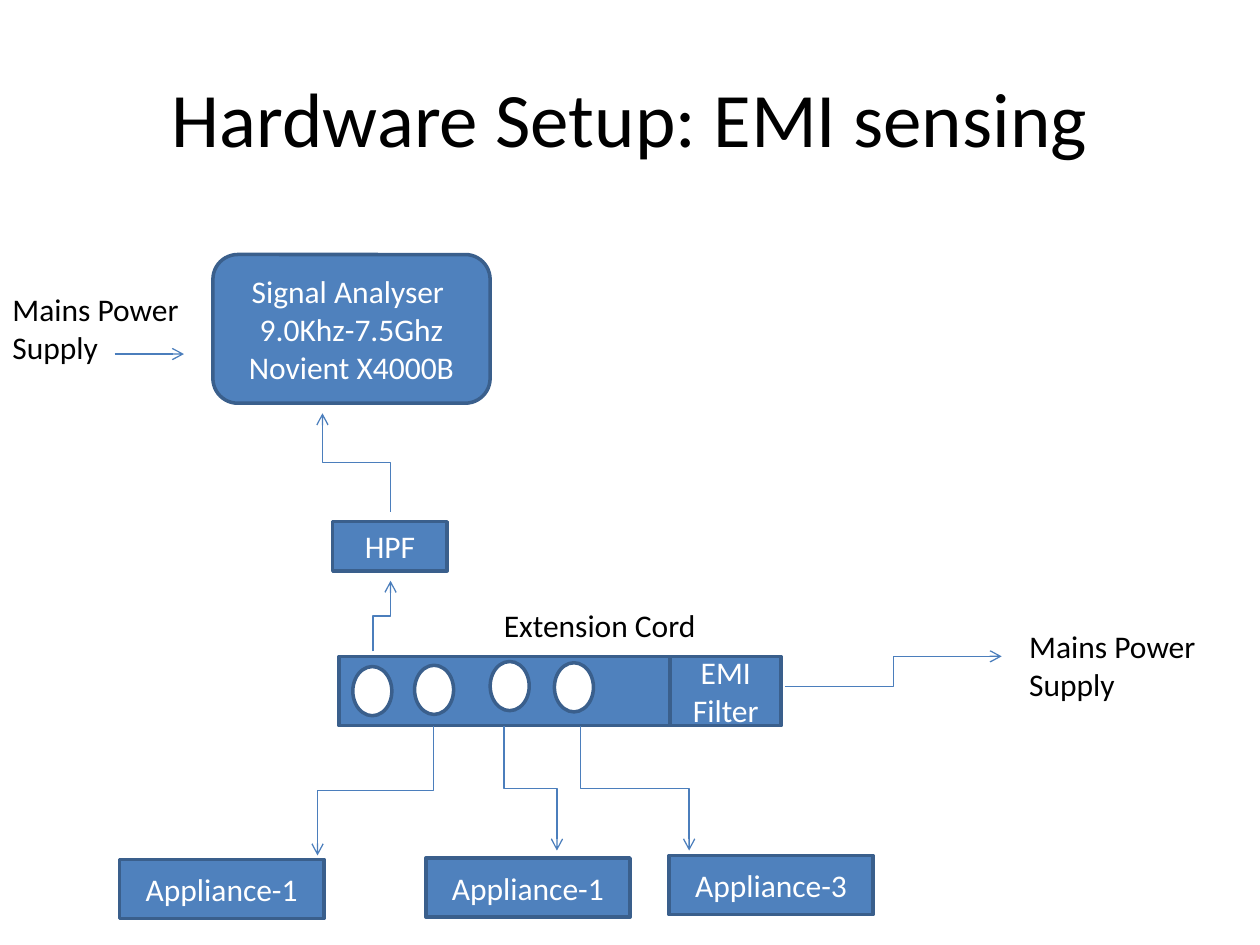
from dataclasses import dataclass

from lxml import etree
from pptx import Presentation
from pptx.dml.color import RGBColor
from pptx.enum.shapes import MSO_CONNECTOR, MSO_SHAPE
from pptx.enum.text import MSO_ANCHOR, MSO_AUTO_SIZE, PP_ALIGN
from pptx.oxml.ns import qn
from pptx.util import Emu, Pt

RECT, ROUND, OVAL = MSO_SHAPE.RECTANGLE, MSO_SHAPE.ROUNDED_RECTANGLE, MSO_SHAPE.OVAL
STRAIGHT, ELBOW = MSO_CONNECTOR.STRAIGHT, MSO_CONNECTOR.ELBOW
LEFT, CENTER = PP_ALIGN.LEFT, PP_ALIGN.CENTER
MIDDLE, FIT = MSO_ANCHOR.MIDDLE, MSO_AUTO_SIZE.SHAPE_TO_FIT_TEXT
SCALE = 9144  # EMU per px, 100 px to the inch


@dataclass(frozen=True)
class Theme:
    font: str = "Calibri"
    title: int = 44
    body: int = 18
    edge: float = 2
    wire: float = 0.75
    ink: str = "000000"
    white: str = "FFFFFF"
    fill: str = "4F81BD"
    border: str = "3A5F8C"
    arrow: str = "4B7EBC"


def px(*vals):
    return [Emu(round(val * SCALE)) for val in vals]


def rgb(code):
    return RGBColor.from_string(code)


class Sketch:
    def __init__(self, theme, slide):
        self.theme = theme
        self.slide = slide

    def put_text(self, frame, lines, size, color, align):
        for i, line in enumerate(lines):
            para = frame.add_paragraph() if i else frame.paragraphs[0]
            para.alignment = align
            run = para.add_run()
            run.text = line
            run.font.name = self.theme.font
            run.font.size = Pt(size)
            run.font.color.rgb = rgb(color)

    def title(self, box, text):
        frame = self.slide.shapes.add_textbox(*px(*box)).text_frame
        frame.word_wrap = True
        frame.vertical_anchor = MIDDLE
        self.put_text(frame, [text], self.theme.title, self.theme.ink, CENTER)

    def label(self, box, *lines):
        frame = self.slide.shapes.add_textbox(*px(*box)).text_frame
        frame.word_wrap = False
        frame.auto_size = FIT
        self.put_text(frame, lines, self.theme.body, self.theme.ink, LEFT)

    def block(self, box, *lines, kind=RECT, fill=None):
        shape = self.slide.shapes.add_shape(kind, *px(*box))
        shape.shadow.inherit = False
        shape.fill.solid()
        shape.fill.fore_color.rgb = rgb(fill or self.theme.fill)
        shape.line.color.rgb = rgb(self.theme.border)
        shape.line.width = Pt(self.theme.edge)
        shape.text_frame.vertical_anchor = MIDDLE
        self.put_text(shape.text_frame, lines, self.theme.body, self.theme.white, CENTER)

    def socket(self, left, top):
        self.block((left, top, 31, 39), kind=OVAL, fill=self.theme.white)

    def arrow(self, x1, y1, x2, y2, kind=STRAIGHT):
        wire = self.slide.shapes.add_connector(kind, *px(x1, y1, x2, y2))
        wire.line.color.rgb = rgb(self.theme.arrow)
        wire.line.width = Pt(self.theme.wire)
        props = wire._element.spPr
        etree.SubElement(props.find(qn("a:ln")), qn("a:tailEnd"), type="arrow")
        etree.SubElement(props, qn("a:effectLst"))
        return wire

    def riser(self, x1, y1, x2, y2):
        """Draw an elbow that leaves and arrives vertically: a level one, turned 90 degrees."""
        midx, midy = (x1 + x2) / 2, (y1 + y2) / 2
        runx, runy = (x2 - x1) / 2, (y2 - y1) / 2
        wire = self.arrow(midx - runy, midy + runx, midx + runy, midy - runx, ELBOW)
        wire._element.spPr.xfrm.rot = 90


def main():
    deck = Presentation()
    deck.slide_width, deck.slide_height = px(1000, 750)
    art = Sketch(Theme(), deck.slides.add_slide(deck.slide_layouts[6]))

    art.title((50, 30, 900, 125), "Hardware Setup: EMI sensing")
    art.block((169, 202, 220, 118), "Signal Analyser ", "9.0Khz-7.5Ghz",
              "Novient X4000B", kind=ROUND)
    art.arrow(91, 281, 146, 281)
    for left, top in ((0, 225), (807, 493)):
        art.label((left, top, 159, 71), "Mains Power", "Supply")

    art.block((264, 414, 91, 39), "HPF")
    art.block((269, 521, 263, 55))
    art.block((532, 521, 88, 55), "EMI", "Filter")
    for left, top in ((280, 529), (329, 528), (389, 525), (440, 526)):
        art.socket(left, top)
    art.label((390, 476, 174, 71), "Extension Cord")

    art.arrow(623, 545, 795, 521, ELBOW)
    art.riser(310, 406, 256, 328)
    art.riser(296, 517, 310, 461)

    for name, left, top, start, end, tip in (
        ("Appliance-1", 95, 682, 344, 252, 679),
        ("Appliance-1", 338, 681, 400, 442, 675),
        ("Appliance-3", 531, 679, 461, 547, 675),
    ):
        art.block((left, top, 162, 47), name)
        art.riser(start, 576, end, tip)

    deck.save("out.pptx")


if __name__ == "__main__":
    main()
